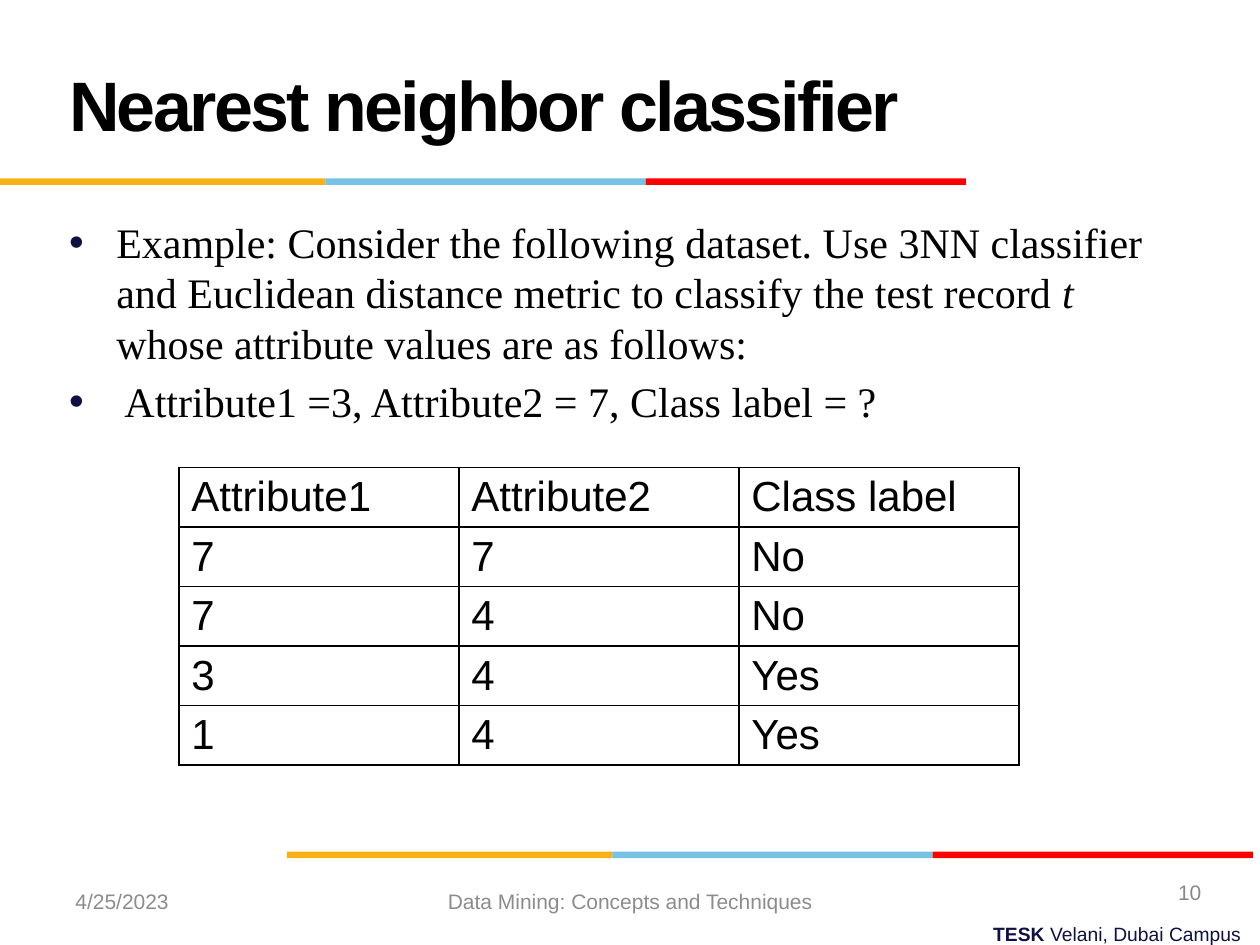
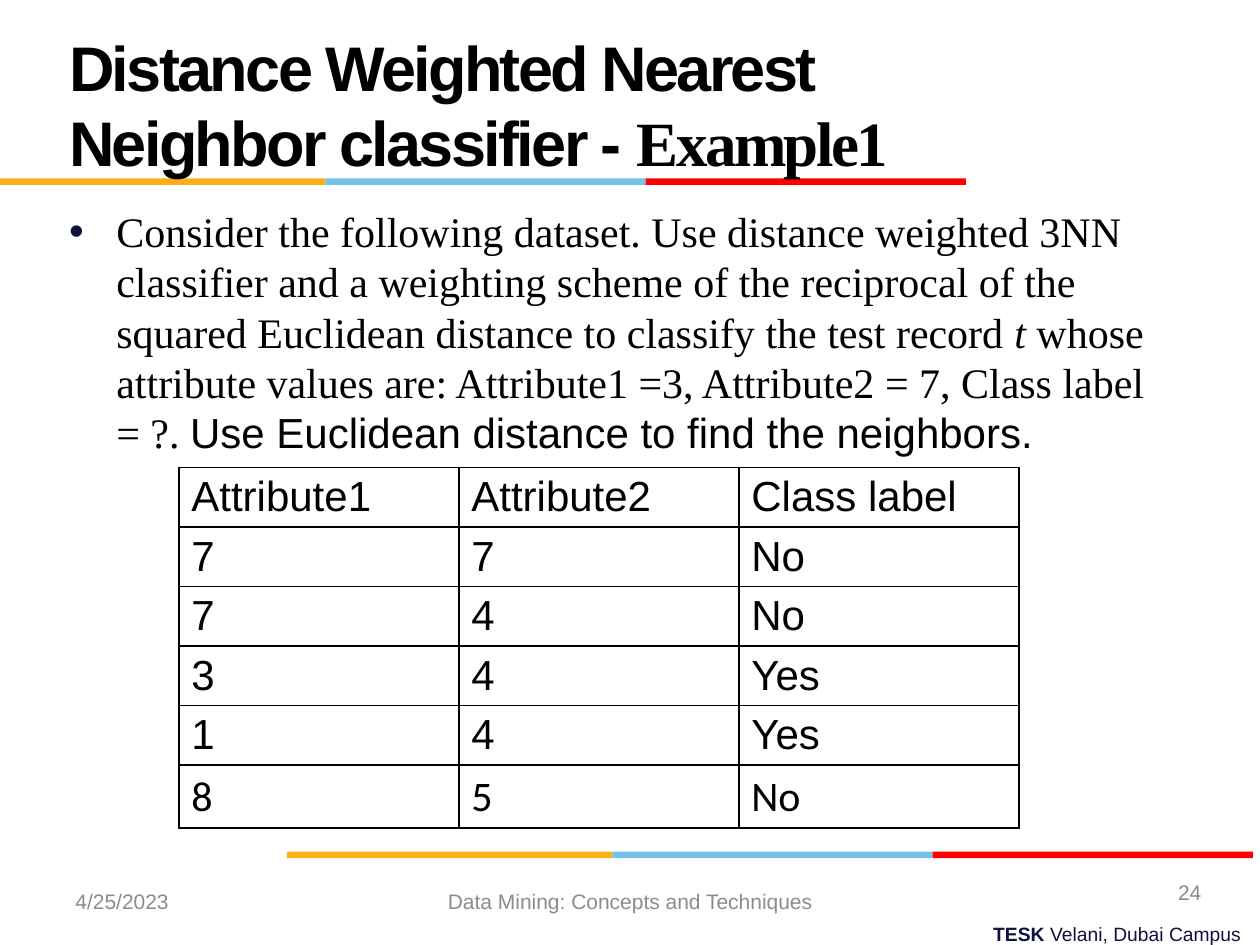
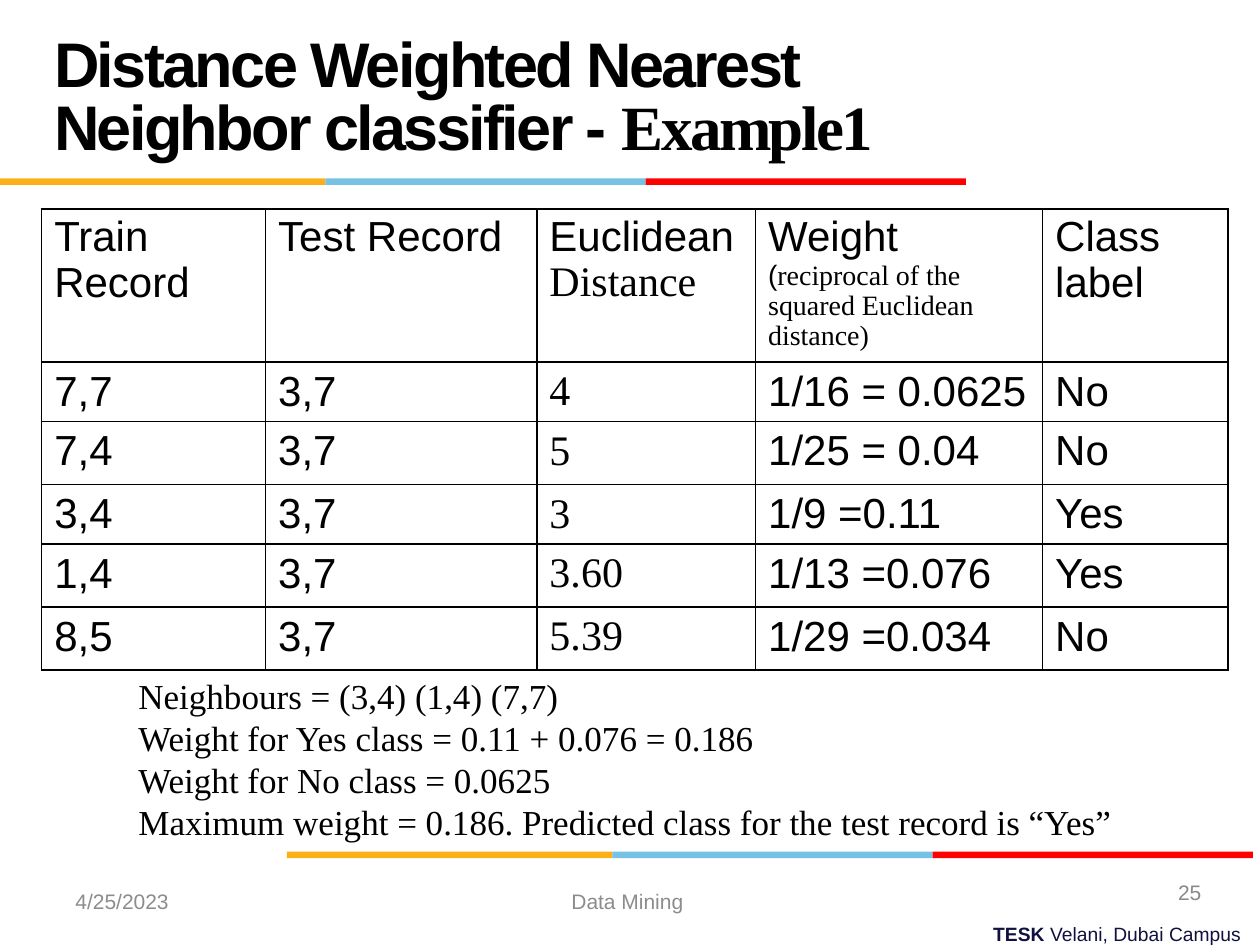
"""Build three slides on nearest neighbor classification."""
from lxml import etree
from pptx import Presentation
from pptx.dml.color import RGBColor
from pptx.enum.shapes import MSO_SHAPE
from pptx.enum.text import MSO_ANCHOR, PP_ALIGN
from pptx.oxml.ns import qn
from pptx.util import Pt

RECTANGLE = MSO_SHAPE.RECTANGLE
TOP, MIDDLE = MSO_ANCHOR.TOP, MSO_ANCHOR.MIDDLE
LEFT, CENTER, RIGHT = PP_ALIGN.LEFT, PP_ALIGN.CENTER, PP_ALIGN.RIGHT

SANS = {"name": "Arial", "size": Pt(24), "bold": False, "italic": False}
SERIF = {**SANS, "name": "Times New Roman"}
TITLE = {**SANS, "size": Pt(36), "bold": True}
FOOTER = {**SANS, "size": Pt(12)}
CAMPUS = {**SANS, "size": Pt(11)}

THEME = {
    "colors": {"text": "000000", "navy": "101141", "gray": "8C8C8C",
               "number": "898989", "gold": "FCB017", "sky": "76C2E5", "red": "FF0000"},
    "styles": {
        "sans": (SANS, "text"),
        "serif": (SERIF, "text"),
        "italic": ({**SERIF, "italic": True}, "text"),
        "calibri": ({**SANS, "name": "Calibri"}, "text"),
        "large title": ({**TITLE, "size": Pt(40)}, "text"),
        "title": (TITLE, "text"),
        "serif title": ({**TITLE, "name": "Times New Roman"}, "text"),
        "result": ({**SERIF, "size": Pt(20)}, "text"),
        "small": ({**SANS, "size": Pt(16)}, "text"),
        "small serif": ({**SERIF, "size": Pt(16)}, "text"),
        "footer": (FOOTER, "gray"),
        "number": (FOOTER, "number"),
        "campus": (CAMPUS, "navy"),
        "campus bold": ({**CAMPUS, "bold": True}, "navy"),
    },
    "title spacing": -150,
    "bullet indent": 27,
    "border": 1,
    "cell margins": {"margin_top": Pt(3.6), "margin_bottom": Pt(0)},
}

BREAK = ("\n", None)
BAND_SEGMENTS = [("gold", 186), ("sky", 183), ("red", 183)]
BAND_STARTS = [(0, 102), (164, 486.7)]
BAND_HEIGHT = 3.7
DATE = "4/25/2023"
CAMPUS_LINE = [("TESK ", "campus bold"), ("Velani, Dubai Campus", "campus")]

EXAMPLE_TITLE = [("Distance Weighted Nearest Neighbor classifier - ", "title"),
                 ("Example1", "serif title")]
RECORDS = [("Attribute1", "Attribute2", "Class label"),
           ("7", "7", "No"), ("7", "4", "No"), ("3", "4", "Yes"), ("1", "4", "Yes")]
DATASET = [[[(text, "sans")] for text in record] for record in RECORDS]
EXTRA_RECORD = [[(text, "calibri")] for text in ("8", "5", "No")]
DATASET_PLACE = {"left": 102.2, "top": 267.1, "widths": [160] * 3}

WEIGHT_HEADER = [
    [("Train Record", "sans")],
    [("Test Record", "sans")],
    [("Euclidean", "sans"), BREAK, ("Distance", "serif")],
    [("Weight ", "sans"), BREAK, ("(", "small"),
     ("reciprocal of the squared Euclidean distance)", "small serif")],
    [("Class label", "sans")],
]
TEST_RECORD = "3,7"
WEIGHT_RECORDS = [
    ("7,7", "4", "1/16 = 0.0625", "No"),
    ("7,4", "5", "1/25 = 0.04", "No"),
    ("3,4", "3", "1/9 =0.11", "Yes"),
    ("1,4", "3.60", "1/13 =0.076", "Yes"),
    ("8,5", "5.39", "1/29 =0.034", "No"),
]
WEIGHTS = [WEIGHT_HEADER] + [
    [[(train, "sans")], [(TEST_RECORD, "sans")], [(distance, "serif")],
     [(weight, "sans")], [(label, "sans")]]
    for train, distance, weight, label in WEIGHT_RECORDS]

SLIDES = [
    {
        "number": "10",
        "footer": "Data Mining: Concepts and Techniques",
        "title": {"box": (32.4, 14.4, 648, 90),
                  "paragraphs": [[("Nearest neighbor classifier", "large title")]]},
        "body": {"box": (32.4, 120.2, 648, 356), "bullets": True,
                 "line": 28.8, "before": 4.4,
                 "paragraphs": [
                     [("Example: Consider the following dataset. Use 3NN classifier and "
                       "Euclidean distance metric to classify the test record ", "serif"),
                      ("t", "italic"),
                      (" whose attribute values are as follows:", "serif")],
                     [(" Attribute1 =3, Attribute2 = 7, Class label = ?", "serif")]]},
        "table": {**DATASET_PLACE, "rows": DATASET, "heights": [34] * 5},
    },
    {
        "number": "24",
        "footer": "Data Mining: Concepts and Techniques",
        "title": {"box": (32.4, 14.4, 493, 90), "paragraphs": [EXAMPLE_TITLE]},
        "body": {"box": (32.4, 113.8, 648, 356), "bullets": True, "line": 28.8,
                 "paragraphs": [
                     [("Consider the following dataset. Use distance weighted 3NN classifier "
                       "and a weighting scheme of the reciprocal of the squared Euclidean "
                       "distance to classify the test record ", "serif"),
                      ("t", "italic"),
                      (" whose attribute values are: Attribute1 =3, Attribute2 = 7, "
                       "Class label = ?. ", "serif"),
                      ("Use Euclidean distance to find the neighbors.", "sans")]]},
        "table": {**DATASET_PLACE, "rows": DATASET + [EXTRA_RECORD],
                  "heights": [34] * 5 + [36]},
    },
    {
        "number": "25",
        "footer": "Data Mining ",
        "title": {"box": (23.8, 12.2, 498, 90), "line": 36, "paragraphs": [EXAMPLE_TITLE]},
        "body": {"box": (72, 381.6, 594, 104.4), "line": 24,
                 "paragraphs": [[(text, "result")] for text in (
                     "Neighbours = (3,4) (1,4) (7,7)",
                     "Weight for Yes class = 0.11 + 0.076 = 0.186",
                     "Weight for No class = 0.0625",
                     "Maximum weight = 0.186. Predicted class for the test record is “Yes”")]},
        "table": {"left": 23.8, "top": 119.5, "widths": [128, 155, 125, 164, 106],
                  "rows": WEIGHTS, "heights": [87.4, 34, 36, 34, 36, 36],
                  "header_line": 0.97},
    },
]


def color(name):
    return RGBColor.from_string(THEME["colors"][name])


def apply(target, values):
    for name, value in values.items():
        setattr(target, name, value)


def add_color(parent, tag, name):
    holder = etree.SubElement(parent, qn(tag))
    etree.SubElement(holder, qn("a:srgbClr"), val=THEME["colors"][name])


def write_runs(paragraph, runs):
    for text, style in runs:
        if style is None:
            paragraph.add_line_break()
            continue
        run = paragraph.add_run()
        run.text = text
        values, color_name = THEME["styles"][style]
        apply(run.font, values)
        run.font.color.rgb = color(color_name)
        if style.endswith("title"):
            run._r.get_or_add_rPr().set("spc", str(THEME["title spacing"]))


def add_bullet(paragraph):
    properties = paragraph._p.get_or_add_pPr()
    indent = Pt(THEME["bullet indent"])
    properties.set("marL", str(indent))
    properties.set("indent", str(-indent))
    add_color(properties, "a:buClr", "navy")
    etree.SubElement(properties, qn("a:buFont"), typeface="Arial")
    etree.SubElement(properties, qn("a:buChar"), char="•")


def add_text(slide, box, paragraphs, anchor=TOP, align=LEFT, line=None, before=0, bullets=False):
    frame = slide.shapes.add_textbox(*map(Pt, box)).text_frame
    apply(frame, {"word_wrap": True, "vertical_anchor": anchor})
    for index, runs in enumerate(paragraphs):
        paragraph = frame.add_paragraph() if index else frame.paragraphs[0]
        values = {"alignment": align, "space_before": Pt(before if index else 0)}
        if line:
            values["line_spacing"] = Pt(line)
        apply(paragraph, values)
        if bullets:
            add_bullet(paragraph)
        write_runs(paragraph, runs)


def add_bands(slide):
    for left, top in BAND_STARTS:
        for name, width in BAND_SEGMENTS:
            shape = slide.shapes.add_shape(RECTANGLE, Pt(left), Pt(top), Pt(width), Pt(BAND_HEIGHT))
            shape.shadow.inherit = False
            shape.fill.solid()
            shape.fill.fore_color.rgb = color(name)
            shape.line.fill.background()
            left += width


def add_borders(cell):
    properties = cell._tc.get_or_add_tcPr()
    for index, side in enumerate(("a:lnL", "a:lnR", "a:lnT", "a:lnB")):
        border = etree.Element(qn(side), w=str(Pt(THEME["border"])))
        add_color(border, "a:solidFill", "text")
        properties.insert(index, border)


def add_table(slide, left, top, widths, heights, rows, header_line=None):
    frame = slide.shapes.add_table(len(rows), len(widths), Pt(left), Pt(top),
                                   Pt(sum(widths)), Pt(sum(heights)))
    table = frame.table
    apply(table, {"first_row": False, "horz_banding": False})
    for column, width in zip(table.columns, widths):
        column.width = Pt(width)
    for row, height, contents in zip(table.rows, heights, rows):
        row.height = Pt(height)
        for cell, runs in zip(row.cells, contents):
            apply(cell, THEME["cell margins"])
            cell.fill.background()
            add_borders(cell)
            write_runs(cell.text_frame.paragraphs[0], runs)
    if header_line:
        for cell in table.rows[0].cells:
            cell.text_frame.paragraphs[0].line_spacing = header_line


def add_footers(slide, footer, number):
    add_text(slide, (254, 523.4, 462.4, 21), [CAMPUS_LINE], align=RIGHT)
    for text, style, box, align in (
            (DATE, "footer", (36, 500.4, 168, 28.8), LEFT),
            (footer, "footer", (246.2, 500.4, 228, 28.8), CENTER),
            (number, "number", (525.6, 495.4, 168, 28.8), RIGHT)):
        add_text(slide, box, [[(text, style)]], MIDDLE, align)


def main():
    presentation = Presentation()
    apply(presentation, {"slide_width": Pt(720), "slide_height": Pt(540)})
    for content in SLIDES:
        slide = presentation.slides.add_slide(presentation.slide_layouts[6])
        add_bands(slide)
        add_footers(slide, content["footer"], content["number"])
        add_text(slide, anchor=MIDDLE, **content["title"])
        add_text(slide, **content["body"])
        add_table(slide, **content["table"])
    presentation.save("out.pptx")


if __name__ == "__main__":
    main()
